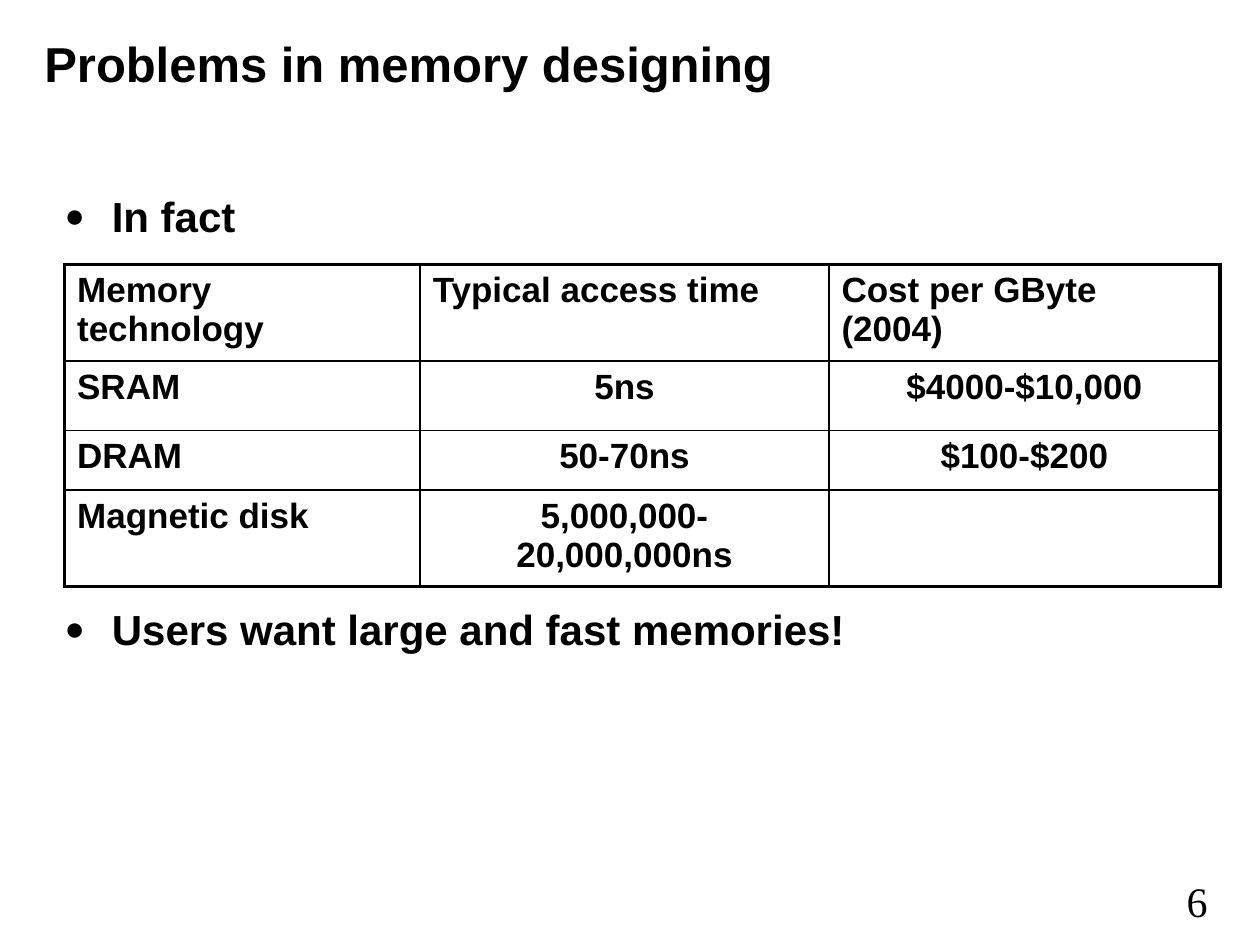
from dataclasses import dataclass

from lxml.etree import SubElement
from pptx import Presentation
from pptx.dml.color import RGBColor
from pptx.enum.text import MSO_ANCHOR, MSO_AUTO_SIZE, PP_ALIGN
from pptx.oxml.ns import qn
from pptx.util import Cm, Pt


@dataclass(frozen=True)
class Theme:
    ink: RGBColor = RGBColor(0, 0, 0)
    font: str = "Arial"
    number_font: str = "Times New Roman"
    title_size: int = 28
    body_size: int = 24
    table_size: int = 20
    outer_line: float = 2.25
    inner_line: float = 1


THEME = Theme()
COLUMN_WIDTHS = (7.17, 8.24, 7.88)
ROW_HEIGHTS = (1.83, 1.4, 1.2, 1.81)
MEMORY_ROWS = (
    ("Memory technology", "Typical access time", "Cost per GByte (2004)"),
    ("SRAM", "5ns", "$4000-$10,000"),
    ("DRAM", "50-70ns", "$100-$200"),
    ("Magnetic disk", "5,000,000-20,000,000ns", ""),
)


def place(shape, left, top, width, height):
    shape.left, shape.top = Cm(left), Cm(top)
    shape.width, shape.height = Cm(width), Cm(height)


def format_runs(paragraph, size, font=THEME.font, bold=True):
    for run in paragraph.runs:
        run.font.name = font
        run.font.size = Pt(size)
        run.font.bold = bold
        run.font.color.rgb = THEME.ink


def add_bullet(paragraph):
    properties = paragraph._p.get_or_add_pPr()
    properties.set("marL", str(Cm(0.95)))
    properties.set("indent", str(Cm(-0.95)))
    color = SubElement(properties, qn("a:buClr"))
    SubElement(color, qn("a:srgbClr"), val=str(THEME.ink))
    SubElement(properties, qn("a:buSzPct"), val="80000")
    SubElement(properties, qn("a:buFont"), typeface=THEME.font)
    SubElement(properties, qn("a:buChar"), char="●")


def set_title(slide, text):
    title = slide.shapes.title
    place(title, 0.64, 0.42, 21.17, 1.69)
    text_frame = title.text_frame
    text_frame.text = text
    text_frame.auto_size = MSO_AUTO_SIZE.NONE
    text_frame.vertical_anchor = MSO_ANCHOR.MIDDLE
    paragraph = text_frame.paragraphs[0]
    paragraph.alignment = PP_ALIGN.LEFT
    format_runs(paragraph, THEME.title_size)


def set_bullets(slide, lines, gap):
    body = slide.placeholders[1]
    place(body, 1.05, 3.71, 22.45, 10.6)
    text_frame = body.text_frame
    text_frame.text = "\n".join(lines)
    text_frame.auto_size = MSO_AUTO_SIZE.NONE
    for index, paragraph in enumerate(text_frame.paragraphs):
        add_bullet(paragraph)
        paragraph.space_before = Cm(gap) if index else Pt(0)
        format_runs(paragraph, THEME.body_size)


def set_borders(cell, outer_sides):
    properties = cell._tc.get_or_add_tcPr()
    for position, side in enumerate(("L", "R", "T", "B")):
        width = THEME.outer_line if side in outer_sides else THEME.inner_line
        line = properties.makeelement(qn(f"a:ln{side}"), {"w": str(Pt(width))})
        fill = SubElement(line, qn("a:solidFill"))
        SubElement(fill, qn("a:srgbClr"), val=str(THEME.ink))
        properties.insert(position, line)


def add_memory_table(slide):
    last_row, last_column = len(ROW_HEIGHTS) - 1, len(COLUMN_WIDTHS) - 1
    frame = slide.shapes.add_table(
        len(ROW_HEIGHTS), len(COLUMN_WIDTHS), Cm(1.3), Cm(5.33),
        Cm(sum(COLUMN_WIDTHS)), Cm(sum(ROW_HEIGHTS)),
    )
    table = frame.table
    table.first_row = table.horz_banding = False
    for column, width in zip(table.columns, COLUMN_WIDTHS):
        column.width = Cm(width)
    for row_index, (row, height) in enumerate(zip(table.rows, ROW_HEIGHTS)):
        row.height = Cm(height)
        for column_index, cell in enumerate(row.cells):
            cell.text_frame.text = MEMORY_ROWS[row_index][column_index]
            cell.fill.background()
            paragraph = cell.text_frame.paragraphs[0]
            centered = row_index > 0 and column_index > 0
            paragraph.alignment = PP_ALIGN.CENTER if centered else PP_ALIGN.LEFT
            format_runs(paragraph, THEME.table_size)
            edges = {
                "L": column_index == 0,
                "R": column_index == last_column,
                "T": row_index == 0,
                "B": row_index == last_row,
            }
            set_borders(cell, [side for side, outer in edges.items() if outer])


def add_page_number(slide, number):
    box = slide.shapes.add_textbox(Cm(23.67), Cm(17.53), Cm(1.5), Cm(1.27))
    box.text_frame.text = number
    box.text_frame.word_wrap = False
    format_runs(box.text_frame.paragraphs[0], THEME.body_size, THEME.number_font, False)


def main():
    presentation = Presentation()
    presentation.slide_width, presentation.slide_height = Cm(25.4), Cm(19.05)
    slide = presentation.slides.add_slide(presentation.slide_layouts[1])
    add_page_number(slide, "6")
    set_bullets(slide, ("In fact", "Users want large and fast memories!"), gap=7.31)
    set_title(slide, "Problems in memory designing")
    add_memory_table(slide)
    presentation.save("out.pptx")


if __name__ == "__main__":
    main()
